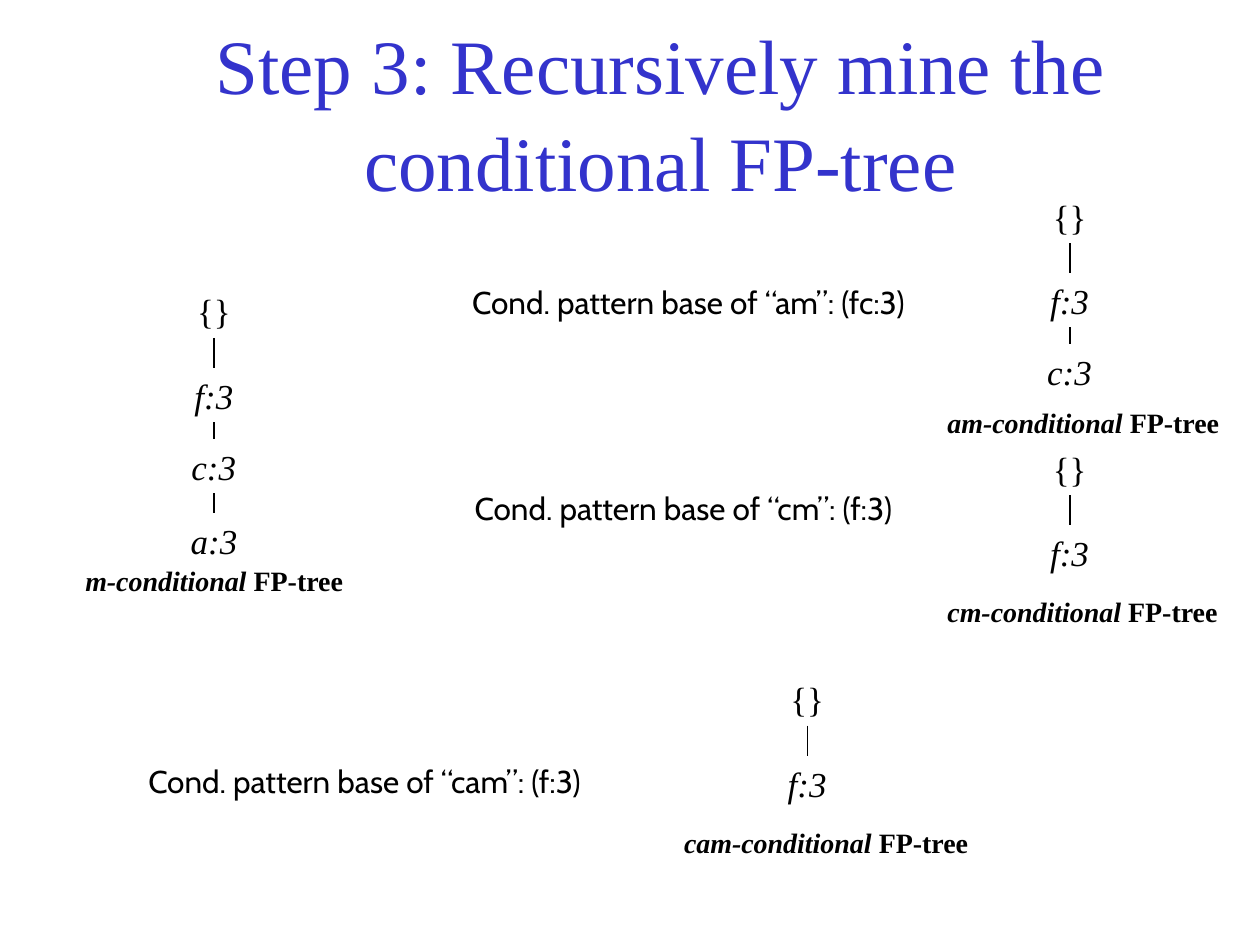
from dataclasses import dataclass

from lxml import etree
from pptx import Presentation
from pptx.dml.color import RGBColor
from pptx.enum.shapes import MSO_CONNECTOR
from pptx.enum.text import MSO_ANCHOR, MSO_AUTO_SIZE, PP_ALIGN
from pptx.oxml.ns import qn
from pptx.util import Cm, Pt

STRAIGHT = MSO_CONNECTOR.STRAIGHT
MIDDLE = MSO_ANCHOR.MIDDLE
CENTER = PP_ALIGN.CENTER
NO_FIT = MSO_AUTO_SIZE.NONE
GROW = MSO_AUTO_SIZE.SHAPE_TO_FIT_TEXT
TOP, BOTTOM = 0, 2
SERIF, SANS = "Times New Roman", "Cabin"
BLACK, BLUE = "000000", "3333CC"
NODE_HEIGHT = 1.09
NODE_OFFSETS = (0, 1.7, 3.13, 4.62)
NODE_WIDTHS = {"{}": 1.19, "f:3": 1.3, "c:3": 1.42, "a:3": 1.45}


@dataclass(frozen=True)
class Tree:
    center: float
    top: float
    nodes: tuple[str, ...]
    pattern: str
    caption_left: float
    caption_top: float
    caption_width: float


@dataclass(frozen=True)
class PatternBase:
    text: str
    left: float
    top: float
    width: float


TREES = (
    Tree(4.32, 5.72, ("{}", "f:3", "c:3", "a:3"), "m", 1.47, 11.23, 5.74),
    Tree(21.57, 3.81, ("{}", "f:3", "c:3"), "am", 18.85, 8.05, 6.02),
    Tree(21.57, 8.89, ("{}", "f:3"), "cm", 18.85, 11.86, 5.99),
    Tree(16.28, 13.54, ("{}", "f:3"), "cam", 13.54, 16.51, 6.27),
)
PATTERN_BASES = (
    PatternBase("Cond. pattern base of “am”: (fc:3)", 9.27, 5.59, 10.16),
    PatternBase("Cond. pattern base of “cm”: (f:3)", 9.32, 9.73, 9.83),
    PatternBase("Cond. pattern base of “cam”: (f:3)", 2.74, 15.24, 10.16),
)


def rgb(value: str) -> RGBColor:
    return RGBColor.from_string(value)


def write(paragraph, text: str, *, size: float, font: str = SERIF,
          color: str = BLACK, bold: bool = False, italic: bool = False) -> None:
    run = paragraph.add_run()
    run.text = text
    run.font.name = font
    run.font.size = Pt(size)
    run.font.color.rgb = rgb(color)
    run.font.bold = bold
    run.font.italic = italic


def add_label(slide, left: float, top: float, width: float, height: float):
    label = slide.shapes.add_textbox(Cm(left), Cm(top), Cm(width), Cm(height))
    label.text_frame.word_wrap = False
    label.text_frame.auto_size = GROW
    return label


def add_branch(slide, parent, child) -> None:
    branch = slide.shapes.add_connector(STRAIGHT, 0, 0, 0, 0)
    branch.begin_connect(parent, BOTTOM)
    branch.end_connect(child, TOP)
    branch.line.color.rgb = rgb(BLACK)
    branch.line.width = Pt(1)
    etree.SubElement(branch._element.spPr, qn("a:effectLst"))


def add_tree(slide, tree: Tree) -> None:
    parent = None
    for name, offset in zip(tree.nodes, NODE_OFFSETS):
        width = NODE_WIDTHS[name]
        node = add_label(slide, tree.center - width / 2, tree.top + offset,
                         width, NODE_HEIGHT)
        write(node.text_frame.paragraphs[0], name, size=20, italic=name != "{}")
        if parent is not None:
            add_branch(slide, parent, node)
        parent = node
    caption = add_label(slide, tree.caption_left, tree.caption_top,
                        tree.caption_width, 0.94).text_frame.paragraphs[0]
    write(caption, f"{tree.pattern}-conditional ", size=16, bold=True, italic=True)
    write(caption, "FP-tree", size=16, bold=True)


def add_pattern_base(slide, base: PatternBase) -> None:
    label = add_label(slide, base.left, base.top, base.width, 1.02)
    write(label.text_frame.paragraphs[0], base.text, size=18, font=SANS)


def add_title(slide, text: str) -> None:
    title = slide.shapes.title
    title.left, title.top = Cm(4.01), Cm(0.84)
    title.width, title.height = Cm(18.62), Cm(2.74)
    frame = title.text_frame
    frame.word_wrap = True
    frame.auto_size = NO_FIT
    frame.vertical_anchor = MIDDLE
    heading = frame.paragraphs[0]
    heading.alignment = CENTER
    heading.line_spacing = 1.05
    write(heading, text, size=44, color=BLUE)


def main() -> None:
    deck = Presentation()
    deck.slide_width, deck.slide_height = Cm(25.4), Cm(19.05)
    slide = deck.slides.add_slide(deck.slide_layouts[5])
    add_title(slide, "Step 3: Recursively mine the conditional FP-tree")
    for tree in TREES:
        add_tree(slide, tree)
    for base in PATTERN_BASES:
        add_pattern_base(slide, base)
    deck.save("out.pptx")


if __name__ == "__main__":
    main()
